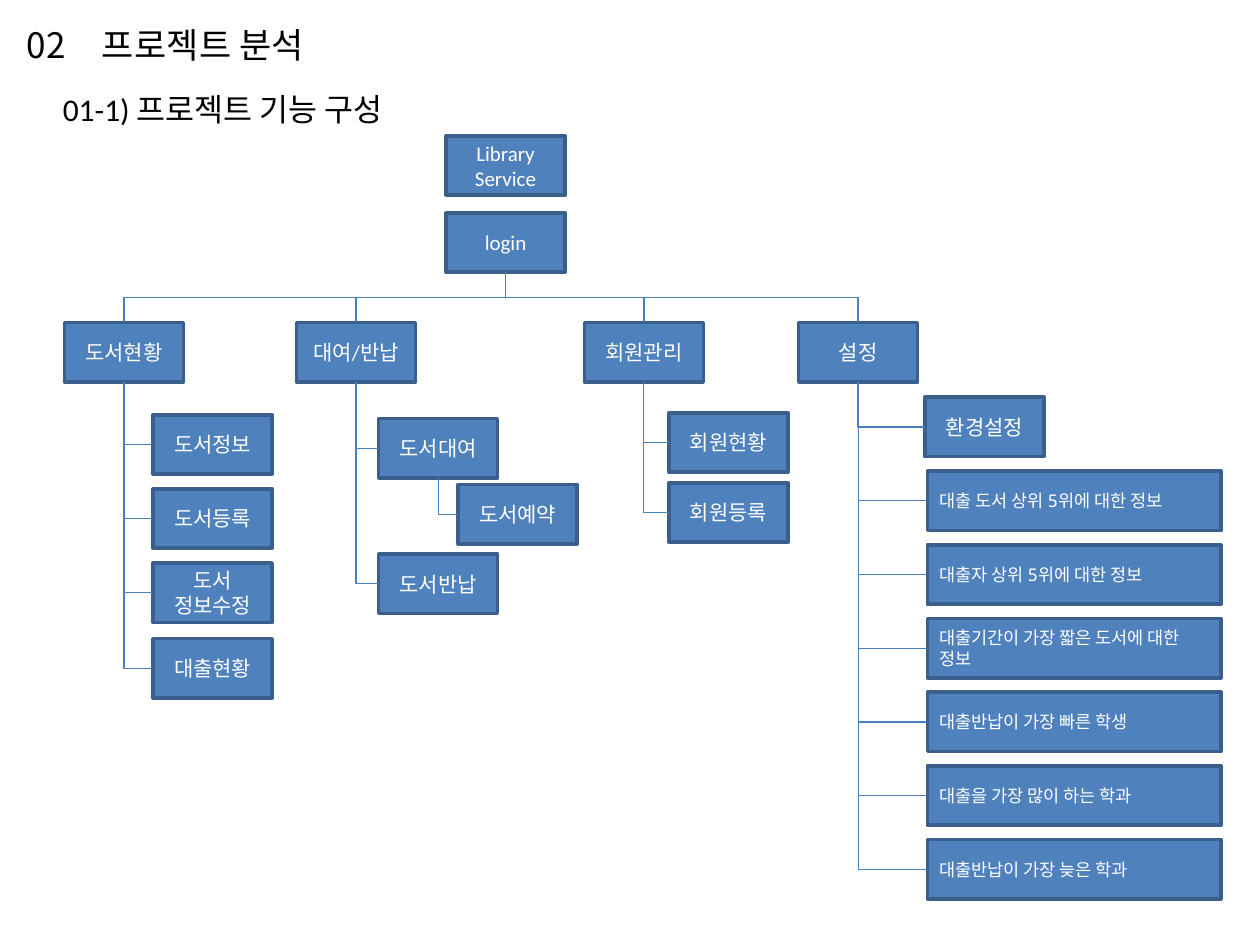
from lxml import etree
from pptx import Presentation
from pptx.dml.color import RGBColor
from pptx.enum.shapes import MSO_CONNECTOR, MSO_SHAPE
from pptx.enum.text import MSO_ANCHOR, MSO_AUTO_SIZE, PP_ALIGN
from pptx.oxml.ns import qn
from pptx.util import Pt

RECTANGLE = MSO_SHAPE.RECTANGLE
ELBOW = MSO_CONNECTOR.ELBOW
LEFT, CENTER = PP_ALIGN.LEFT, PP_ALIGN.CENTER
MIDDLE = MSO_ANCHOR.MIDDLE
FIT_SHAPE = MSO_AUTO_SIZE.SHAPE_TO_FIT_TEXT

BLACK = RGBColor(0x00, 0x00, 0x00)
WHITE = RGBColor(0xFF, 0xFF, 0xFF)
BOX_FILL = RGBColor(0x4F, 0x81, 0xBD)
BOX_BORDER = RGBColor(0x3A, 0x5F, 0x8C)
CONNECTOR_COLOR = RGBColor(0x4B, 0x7E, 0xBC)

TOP_SIDE, LEFT_SIDE, BOTTOM_SIDE = 0, 1, 2
BOX_WIDTH, BOX_HEIGHT = Pt(68), Pt(34)
REPORT_WIDTH = Pt(167.8)
ROOT_LEFT, MENU_TOP = 254.9, 184.3
REPORT_LEFT, REPORT_TOP, REPORT_STEP = 529.9, 269.2, 42.1

NUMBER_FONT = {"name": "Noto Sans CJK KR", "size": Pt(20)}
TITLE_FONT = {"name": "Arial", "size": Pt(20)}
SUBTITLE_FONT = {"name": "Calibri", "size": Pt(18)}
BOX_FONT = {"name": "Calibri", "size": Pt(12)}
REPORT_FONT = {"name": "Noto Sans Mono", "size": Pt(10)}
NO_MARGINS = dict.fromkeys(
    ("margin_left", "margin_top", "margin_right", "margin_bottom"), 0)

MENUS = [
    ("도서현황", 36.8, [
        ("도서정보", 87.5, 237),
        ("도서등록", 87.5, 279.3),
        ("도서\n정보수정", 87.5, 321.7),
        ("대출현황", 87.5, 365),
    ]),
    ("대여/반납", 169.4, [
        ("도서대여", 216.4, 239.2),
        ("도서반납", 216.4, 316.5),
    ]),
    ("회원관리", 333.9, [
        ("회원현황", 382.3, 235.9),
        ("회원등록", 382.3, 275.9),
    ]),
    ("설정", 456.4, [
        ("환경설정", 528.5, 227),
    ]),
]
RESERVATION = ("도서예약", 261.8, 276.8)
REPORTS = [
    "대출 도서 상위 5위에 대한 정보",
    "대출자 상위 5위에 대한 정보",
    "대출기간이 가장 짧은 도서에 대한 정보",
    "대출반납이 가장 빠른 학생",
    "대출을 가장 많이 하는 학과",
    "대출반납이 가장 늦은 학과",
]


def apply_format(target, values):
    for name, value in values.items():
        setattr(target, name, value)


def add_run(paragraph, text, font_format, color):
    run = paragraph.add_run()
    run.text = text
    apply_format(run.font, font_format)
    run.font.color.rgb = color
    return run


def add_title(slide):
    shape = slide.shapes.add_textbox(Pt(15.1), Pt(17.3), Pt(231.8), Pt(20.9))
    apply_format(shape.text_frame,
                 {**NO_MARGINS, "word_wrap": True, "auto_size": FIT_SHAPE})
    paragraph = shape.text_frame.paragraphs[0]
    paragraph.line_spacing = Pt(19.9)
    for text, font_format in (("02", NUMBER_FONT), ("\t프로젝트 분석", TITLE_FONT)):
        run = add_run(paragraph, text, font_format, BLACK)
        run.font._element.set("spc", "10")
    properties = paragraph._p.get_or_add_pPr()
    tab_list = etree.SubElement(properties, qn("a:tabLst"))
    etree.SubElement(tab_list, qn("a:tab"), pos=str(Pt(43)), algn="l")


def add_subtitle(slide):
    shape = slide.shapes.add_textbox(Pt(28.8), Pt(48.2), Pt(211), Pt(28.8))
    apply_format(shape.text_frame, {"word_wrap": False, "auto_size": FIT_SHAPE})
    add_run(shape.text_frame.paragraphs[0], "01-1) 프로젝트 기능 구성",
            SUBTITLE_FONT, BLACK)


def add_box(slide, text, left, top, width=BOX_WIDTH,
            font_format=BOX_FONT, alignment=CENTER):
    shape = slide.shapes.add_shape(RECTANGLE, Pt(left), Pt(top), width, BOX_HEIGHT)
    shape.shadow.inherit = False
    shape.fill.solid()
    shape.fill.fore_color.rgb = BOX_FILL
    shape.line.color.rgb = BOX_BORDER
    shape.line.width = Pt(2)
    frame = shape.text_frame
    apply_format(frame, {"word_wrap": True, "vertical_anchor": MIDDLE})
    for index, line in enumerate(text.split("\n")):
        paragraph = frame.add_paragraph() if index else frame.paragraphs[0]
        paragraph.alignment = alignment
        add_run(paragraph, line, font_format, WHITE)
    return shape


def connect(slide, parent, child, side):
    start_x, start_y = parent.left + parent.width // 2, parent.top + parent.height
    if side == TOP_SIDE:
        end_x, end_y = child.left + child.width // 2, child.top
    else:
        end_x, end_y = child.left, child.top + child.height // 2
    connector = slide.shapes.add_connector(ELBOW, start_x, start_y, end_x, end_y)
    connector.begin_connect(parent, BOTTOM_SIDE)
    connector.end_connect(child, side)

    across, down = abs(end_x - start_x), end_y - start_y
    apply_format(connector, {
        "left": (start_x + end_x - down) // 2,
        "top": (start_y + end_y - across) // 2,
        "width": down,
        "height": across,
    })
    goes_right = end_x > start_x
    properties = connector._element.spPr
    transform = properties.find(qn("a:xfrm"))
    transform.set("rot", "16200000" if goes_right else "5400000")
    transform.set("flipH", "1" if goes_right else "0")
    transform.set("flipV", "0")
    if side == LEFT_SIDE:
        properties.find(qn("a:prstGeom")).set("prst", "bentConnector2")
    connector.line.color.rgb = CONNECTOR_COLOR
    connector.line.width = Pt(0.75)
    etree.SubElement(properties, qn("a:effectLst"))


def add_menu(slide, login, text, left, items):
    menu = add_box(slide, text, left, MENU_TOP)
    connect(slide, login, menu, TOP_SIDE)
    boxes = [add_box(slide, *item) for item in items]
    for box in boxes:
        connect(slide, menu, box, LEFT_SIDE)
    return menu, boxes


def add_reports(slide, settings):
    for index, text in enumerate(REPORTS):
        report = add_box(slide, text, REPORT_LEFT, REPORT_TOP + index * REPORT_STEP,
                         REPORT_WIDTH, REPORT_FONT, LEFT)
        connect(slide, settings, report, LEFT_SIDE)


def main():
    presentation = Presentation()
    presentation.slide_width, presentation.slide_height = Pt(720), Pt(540)
    slide = presentation.slides.add_slide(presentation.slide_layouts[6])

    add_title(slide)
    add_subtitle(slide)
    add_box(slide, "Library\nService", ROOT_LEFT, 77.6)
    login = add_box(slide, "login", ROOT_LEFT, 121.6)
    menus = [add_menu(slide, login, *menu) for menu in MENUS]

    lending = menus[1][1][0]
    connect(slide, lending, add_box(slide, *RESERVATION), LEFT_SIDE)
    settings = menus[-1][0]
    add_reports(slide, settings)

    presentation.save("out.pptx")


if __name__ == "__main__":
    main()
